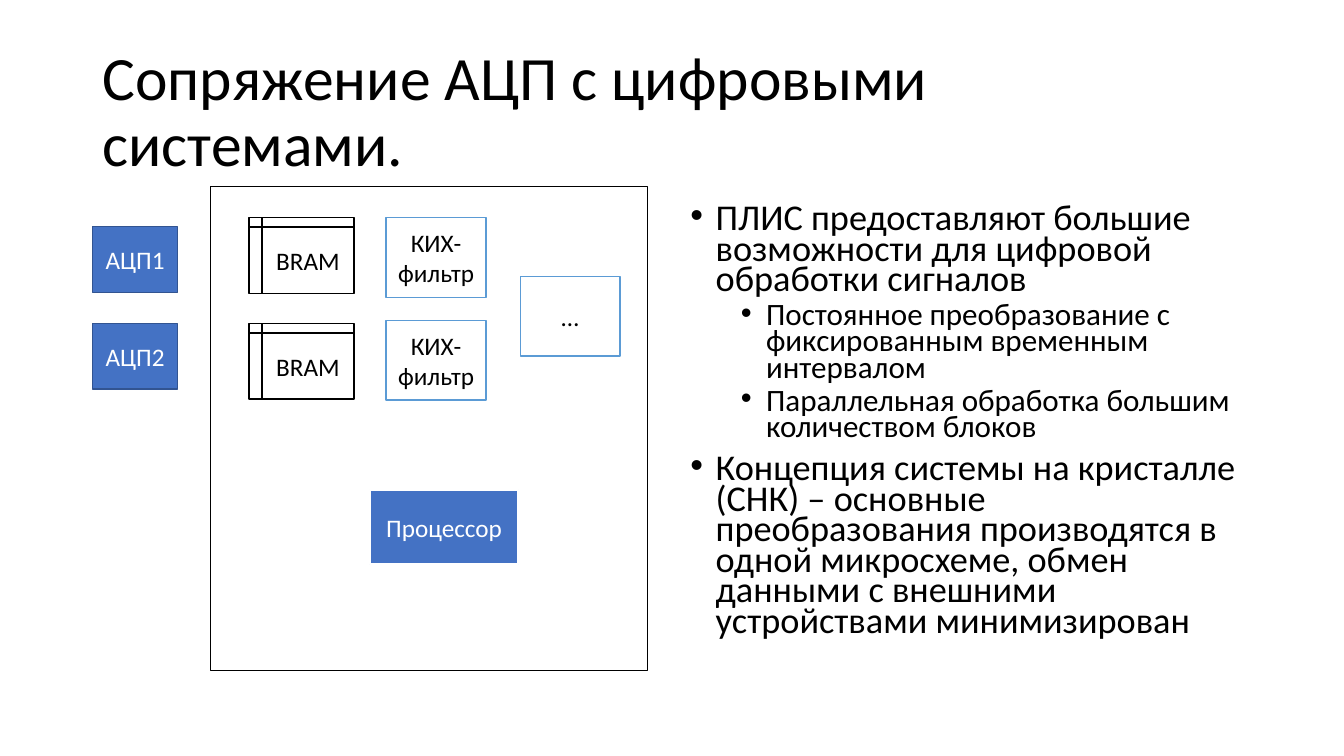
from lxml import etree
from pptx import Presentation
from pptx.dml.color import RGBColor
from pptx.enum.shapes import MSO_SHAPE
from pptx.enum.text import MSO_ANCHOR, PP_ALIGN
from pptx.oxml.ns import qn
from pptx.util import Inches, Pt

BLACK = RGBColor(0x00, 0x00, 0x00)
WHITE = RGBColor(0xFF, 0xFF, 0xFF)
BLUE = RGBColor(0x44, 0x72, 0xC4)
NAVY = RGBColor(0x32, 0x54, 0x91)
SKY = RGBColor(0x5B, 0x9B, 0xD5)
RECTANGLE = MSO_SHAPE.RECTANGLE
STORAGE = MSO_SHAPE.FLOWCHART_INTERNAL_STORAGE
MIDDLE = MSO_ANCHOR.MIDDLE
TOP = MSO_ANCHOR.TOP
CENTER = PP_ALIGN.CENTER

POINTS = [
    (0, "ПЛИС предоставляют большие возможности для цифровой обработки сигналов"),
    (1, "Постоянное преобразование с фиксированным временным интервалом"),
    (1, "Параллельная обработка большим количеством блоков"),
    (0, "Концепция системы на кристалле (СНК) – основные преобразования производятся "
        "в одной микросхеме, обмен данными с внешними устройствами минимизирован"),
]


class SlideBuilder:
    """Draws styled elements on the current slide."""

    font_name = "Calibri"
    block_size = 18
    bullet_levels = [(25.9, 0.25, 10), (22.2, 0.75, 5)]

    def __init__(self, page):
        self.page = page

    def style(self, paragraph, size, color):
        for span in paragraph.runs:
            span.font.name = self.font_name
            span.font.size = Pt(size)
            span.font.color.rgb = color

    def text_frame(self, left, top, width, height, anchor):
        box = self.page.shapes.add_textbox(
            Inches(left), Inches(top), Inches(width), Inches(height))
        frame = box.text_frame
        frame.word_wrap = True
        frame.vertical_anchor = anchor
        return frame

    def title(self, text, left, top, width, height):
        frame = self.text_frame(left, top, width, height, MIDDLE)
        frame.text = text
        paragraph = frame.paragraphs[0]
        paragraph.line_spacing = 0.9
        self.style(paragraph, 44, BLACK)

    def bullets(self, points, left, top, width, height):
        frame = self.text_frame(left, top, width, height, TOP)
        for index, (level, text) in enumerate(points):
            paragraph = frame.add_paragraph() if index else frame.paragraphs[0]
            size, indent, space = self.bullet_levels[level]
            paragraph.text = text
            paragraph.level = level
            paragraph.line_spacing = 0.7
            paragraph.space_before = Pt(space if index else 0)
            properties = paragraph._p.get_or_add_pPr()
            properties.set("marL", str(Inches(indent)))
            properties.set("indent", str(Inches(-0.25)))
            etree.SubElement(properties, qn("a:buFont"), typeface="Arial")
            etree.SubElement(properties, qn("a:buChar"), char="•")
            self.style(paragraph, size, BLACK)

    def block(self, text, left, top, width, height, fill=WHITE, line=BLACK,
              color=BLACK, weight=1, kind=RECTANGLE):
        shape = self.page.shapes.add_shape(
            kind, Inches(left), Inches(top), Inches(width), Inches(height))
        shape.shadow.inherit = False
        if fill is None:
            shape.fill.background()
        else:
            shape.fill.solid()
            shape.fill.fore_color.rgb = fill
        shape.line.color.rgb = line
        shape.line.width = Pt(weight)
        if text:
            frame = shape.text_frame
            frame.word_wrap = True
            frame.vertical_anchor = MIDDLE
            frame.text = text
            paragraph = frame.paragraphs[0]
            paragraph.alignment = CENTER
            self.style(paragraph, self.block_size, color)


def main():
    deck = Presentation()
    deck.slide_width = Inches(13.33)
    deck.slide_height = Inches(7.5)
    builder = SlideBuilder(deck.slides.add_slide(deck.slide_layouts[6]))

    builder.title("Сопряжение АЦП с цифровыми системами.", 0.92, 0.4, 11.5, 1.45)
    builder.bullets(POINTS, 6.75, 2, 5.66, 4.76)

    builder.block("", 2.09, 1.85, 4.33, 4.8, fill=None)
    channels = [("АЦП1", 2.25, 2.16, 2.16), ("АЦП2", 3.21, 3.21, 3.18)]
    for converter, converter_top, memory_top, filter_top in channels:
        builder.block(converter, 0.92, converter_top, 0.84, 0.65,
                      fill=BLUE, line=NAVY, color=WHITE)
        builder.block("BRAM", 2.47, memory_top, 1.04, 0.75, kind=STORAGE)
        builder.block("КИХ-фильтр", 3.83, filter_top, 0.99, 0.79, line=SKY)
    builder.block("Процессор", 3.67, 4.86, 1.47, 0.74,
                  fill=BLUE, line=WHITE, color=WHITE, weight=1.5)
    builder.block("…", 5.16, 2.74, 0.99, 0.79, line=SKY)

    deck.save("out.pptx")


if __name__ == "__main__":
    main()
